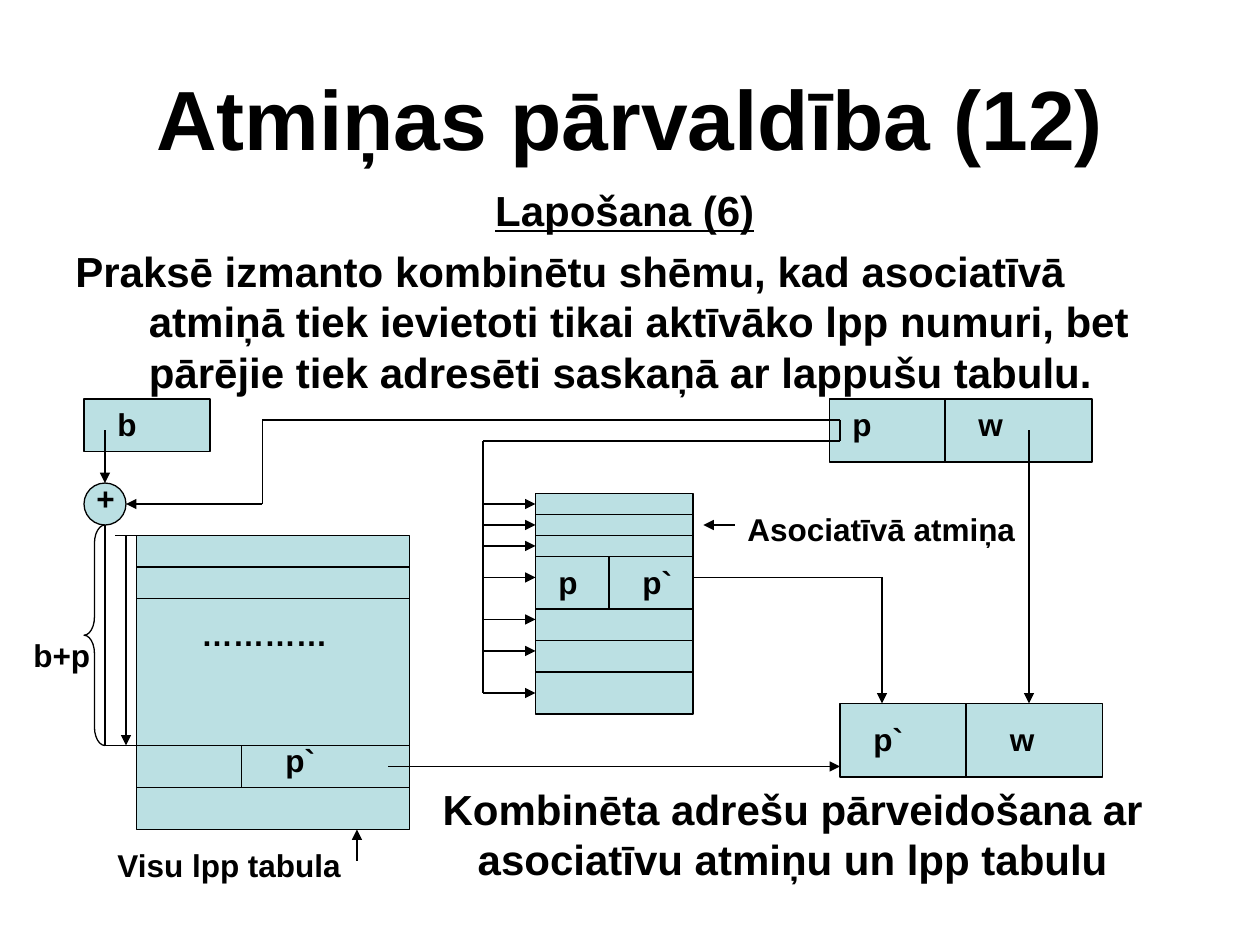
from itertools import pairwise

from lxml import etree
from pptx import Presentation
from pptx.dml.color import RGBColor
from pptx.enum.shapes import MSO_CONNECTOR, MSO_SHAPE
from pptx.enum.text import MSO_ANCHOR, PP_ALIGN
from pptx.oxml.ns import qn
from pptx.util import Pt

STRAIGHT = MSO_CONNECTOR.STRAIGHT
RECTANGLE = MSO_SHAPE.RECTANGLE
CIRCLE = MSO_SHAPE.FLOWCHART_CONNECTOR
BRACE = MSO_SHAPE.LEFT_BRACE
LEFT, CENTER = PP_ALIGN.LEFT, PP_ALIGN.CENTER
TOP, MIDDLE = MSO_ANCHOR.TOP, MSO_ANCHOR.MIDDLE

BLACK = RGBColor.from_string("000000")
PALE_TEAL = RGBColor.from_string("BBE0E3")
LINE_WIDTH = Pt(0.75)

presentation = Presentation()
presentation.slide_width, presentation.slide_height = Pt(720), Pt(540)
slide = presentation.slides.add_slide(presentation.slide_layouts[6])
shapes = slide.shapes


def add_text(box, lines, size=18, align=LEFT, anchor=TOP):
    frame = shapes.add_textbox(*map(Pt, box)).text_frame
    frame.word_wrap = True
    frame.vertical_anchor = anchor
    frame.text = "\n".join(lines)
    font_format = {"name": "Arial", "size": Pt(size), "bold": True}
    for paragraph in frame.paragraphs:
        paragraph.alignment = align
        paragraph.line_spacing = Pt(size * 1.2)
        font = paragraph.runs[0].font
        font.color.rgb = BLACK
        for key, value in font_format.items():
            setattr(font, key, value)
    return frame


def add_route(points, arrow=False):
    for start, end in pairwise(points):
        segment = shapes.add_connector(STRAIGHT, *map(Pt, start + end))
        segment.line.width = LINE_WIDTH
        segment.line.color.rgb = BLACK
        etree.SubElement(segment._element.spPr, qn("a:effectLst"))
    if arrow:
        outline = segment.line._get_or_add_ln()
        etree.SubElement(outline, qn("a:tailEnd"), type="triangle")


add_text((36, 21.6, 648, 90), ["Atmiņas pārvaldība (12)"], 48, CENTER, MIDDLE)

body = add_text(
    (36, 102, 642, 396),
    [
        "Lapošana (6)",
        "Praksē izmanto kombinētu shēmu, kad asociatīvā atmiņā tiek ievietoti "
        "tikai aktīvāko lpp numuri, bet pārējie tiek adresēti saskaņā ar "
        "lappušu tabulu.",
    ],
    24,
)
subtitle, explanation = body.paragraphs
subtitle.alignment = CENTER
subtitle.runs[0].font.underline = True
explanation.space_before = Pt(6)
for paragraph in body.paragraphs:
    hanging = paragraph._p.get_or_add_pPr()
    hanging.set("marL", str(Pt(42)))
    hanging.set("indent", str(Pt(-42)))

add_text(
    (240, 444, 426, 64.8),
    ["Kombinēta adrešu pārveidošana ar asociatīvu atmiņu un lpp tabulu"],
    24,
    CENTER,
)

base_register = (48, 228, 72, 30)
virtual_address = (474, 228, 150, 36)
physical_address = (480, 402, 150, 42)
page_table = (78, 306, 156, 168)
associative_memory = (306, 282, 90, 126)
adder = (48, 276, 24, 24)
offset_brace = (48, 300, 12, 126)

for kind, box in [
    (RECTANGLE, base_register),
    (RECTANGLE, virtual_address),
    (RECTANGLE, physical_address),
    (RECTANGLE, page_table),
    (RECTANGLE, associative_memory),
    (CIRCLE, adder),
    (BRACE, offset_brace),
]:
    block = shapes.add_shape(kind, *map(Pt, box))
    block.shadow.inherit = False
    block.line.color.rgb = BLACK
    block.line.width = LINE_WIDTH
    if kind == BRACE:
        block.fill.background()
        block.adjustments[0] = 0.87
    else:
        block.fill.solid()
        block.fill.fore_color.rgb = PALE_TEAL

for (left, _, width, _), row_edges in [
    (page_table, (324, 342, 426, 450)),
    (associative_memory, (294, 306, 318, 348, 366, 384)),
]:
    for y in row_edges:
        add_route([(left, y), (left + width, y)])

for x, top, bottom in [
    (540, 228, 264),
    (552, 402, 444),
    (138, 426, 450),
    (348, 318, 348),
]:
    add_route([(x, top), (x, bottom)])

add_route([(78, 306), (66, 306)])
add_route([(60, 300), (60, 426), (78, 426)])
add_route([(480, 240), (480, 252), (276, 252), (276, 396)])

for y in (288, 300, 312, 330, 354, 372, 396):
    add_route([(276, y), (306, y)], arrow=True)

for points in [
    [(60, 246), (60, 276)],
    [(480, 240), (150, 240), (150, 288), (72, 288)],
    [(222, 438), (480, 438)],
    [(588, 246), (588, 402)],
    [(72, 306), (72, 426)],
    [(396, 330), (504, 330), (504, 402)],
    [(420, 300), (402, 300)],
    [(204, 492), (204, 474)],
]:
    add_route(points, arrow=True)

for label, left, top, width in [
    ("b", 60, 228, 48),
    ("p", 480, 228, 54),
    ("w", 552, 228, 60),
    ("+", 48, 270, 24),
    ("p`", 156, 420, 48),
    ("p`", 492, 408, 42),
    ("w", 570, 408, 42),
    ("p", 312, 318, 30),
    ("p`", 360, 318, 36),
    ("…………", 108, 348, 90),
    ("b+p", 12, 360, 54),
    ("Asociatīvā atmiņa", 420, 288, 180),
    ("Visu lpp tabula", 60, 480, 192),
]:
    add_text((left, top, width, 28.8), [label])

presentation.save("out.pptx")
